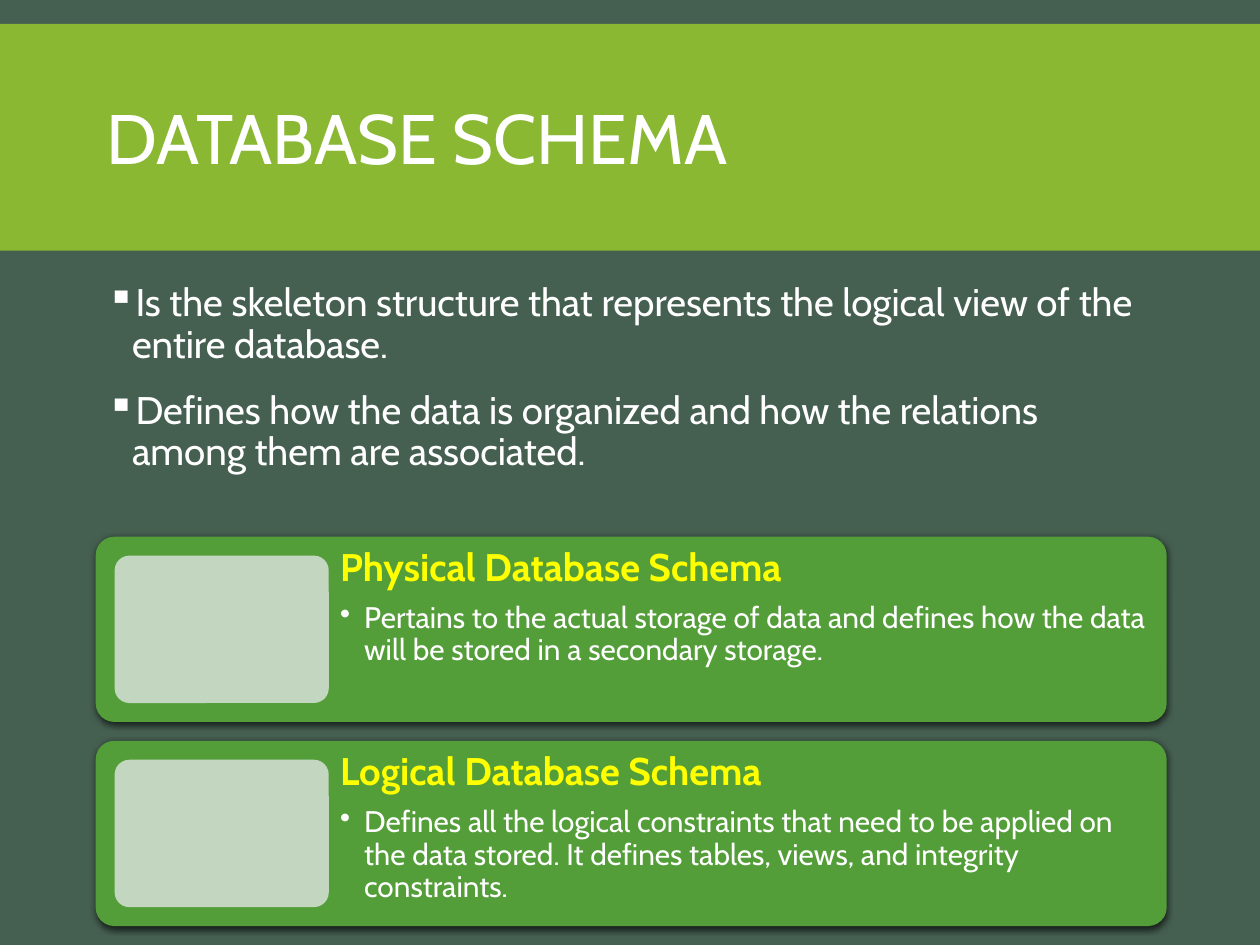
import pptx
import pptx.util
import pptx.dml.color
import pptx.enum.shapes
import pptx.enum.text
import pptx.oxml
import pptx.oxml.ns

Inches = pptx.util.Inches
Pt = pptx.util.Pt
SHAPE = pptx.enum.shapes.MSO_SHAPE
ANCHOR = pptx.enum.text.MSO_ANCHOR
NS = pptx.oxml.ns.nsdecls("a")


def rgb(value):
    return pptx.dml.color.RGBColor.from_string(value)


def add_bullet(p, char, color, indent):
    pPr = p._p.get_or_add_pPr()
    pPr.set("marL", str(Inches(indent)))
    pPr.set("indent", str(-Inches(indent)))
    for xml in (
        f'<a:buClr {NS}><a:srgbClr val="{color}"/></a:buClr>',
        f'<a:buChar {NS} char="{char}"/>',
    ):
        pPr.append(pptx.oxml.parse_xml(xml))


def write(p, text, size, font="Cabin", color="FFFFFF", bold=False,
          line=0.9, before=0, after=0, bullet=None, indent=0.2):
    p.line_spacing = line
    p.space_before = Pt(before)
    p.space_after = Pt(after)
    if bullet:
        add_bullet(p, bullet, color, indent)
    r = p.add_run()
    r.text = text
    r.font.name = font
    r.font.size = Pt(size)
    r.font.bold = bold
    r.font.color.rgb = rgb(color)


class Deck:
    background = "455F51"
    band = "8AB833"
    card_fill = "549E39"
    panel_fill = "C3D6BF"
    heading = "FFFF00"

    def __init__(self):
        self.prs = pptx.Presentation()
        self.prs.slide_width = Inches(10)
        self.prs.slide_height = Inches(7.5)
        self.s = self.prs.slides.add_slide(self.prs.slide_layouts[6])
        fill = self.s.background.fill
        fill.solid()
        fill.fore_color.rgb = rgb(self.background)

    def box(self, left, top, width, height, color, kind=SHAPE.RECTANGLE):
        sp = self.s.shapes.add_shape(
            kind, Inches(left), Inches(top), Inches(width), Inches(height))
        sp.shadow.inherit = False
        sp.fill.solid()
        sp.fill.fore_color.rgb = rgb(color)
        sp.line.fill.background()
        if kind == SHAPE.ROUNDED_RECTANGLE:
            sp.adjustments[0] = 0.1
        return sp

    def add_shadow(self, sp):
        effects = sp._element.spPr.find(pptx.oxml.ns.qn("a:effectLst"))
        effects.append(pptx.oxml.parse_xml(
            f'<a:outerShdw {NS} blurRad="{Pt(4)}" dist="{Pt(1.2)}" '
            'dir="5400000" algn="ctr" rotWithShape="0">'
            '<a:srgbClr val="000000"><a:alpha val="68000"/></a:srgbClr>'
            '</a:outerShdw>'))

    def text(self, left, top, width, height, items, anchor=ANCHOR.TOP, inset=None):
        tf = self.s.shapes.add_textbox(
            Inches(left), Inches(top), Inches(width), Inches(height)).text_frame
        tf.word_wrap = True
        tf.vertical_anchor = anchor
        if inset is not None:
            tf.margin_left = tf.margin_right = Inches(inset)
            tf.margin_top = tf.margin_bottom = Inches(inset)
        for i, (text, style) in enumerate(items):
            p = tf.add_paragraph() if i else tf.paragraphs[0]
            write(p, text, **style)

    def card(self, top, title, detail):
        left, width, height, gap, panel_width = 0.76, 8.5, 1.47, 0.15, 1.7
        rounded = SHAPE.ROUNDED_RECTANGLE
        self.add_shadow(self.box(left, top, width, height, self.card_fill, rounded))
        self.box(left + gap, top + gap, panel_width, height - 2 * gap,
                 self.panel_fill, rounded)
        text_left = left + gap + panel_width
        self.text(text_left, top, left + width - text_left, height, [
            (title, dict(size=22, color=self.heading, bold=True, after=7.7)),
            (detail, dict(size=17, after=2.55, bullet="•", indent=0.19)),
        ], inset=0.09)


def main():
    deck = Deck()
    deck.box(0, 0.19, 10, 1.8, deck.band)
    deck.text(0.75, 0.31, 8.5, 1.65,
              [("DATABASE SCHEMA", dict(size=40, line=0.85))], anchor=ANCHOR.MIDDLE)

    point = dict(size=22, before=12, after=2, bullet="▪")
    deck.text(0.75, 2.2, 8.5, 1.9, [
        ("Is the skeleton structure that represents the logical view of the "
         "entire database.", point),
        ("Defines how the data is organized and how the relations among them "
         "are associated.", point),
    ])

    cards = [
        ("Physical Database Schema",
         "Pertains to the actual storage of data and defines how the data will "
         "be stored in a secondary storage."),
        ("Logical Database Schema",
         "Defines all the logical constraints that need to be applied on the "
         "data stored. It defines tables, views, and integrity constraints."),
    ]
    for i, (title, detail) in enumerate(cards):
        deck.card(4.26 + i * 1.62, title, detail)
    deck.prs.save("out.pptx")


if __name__ == "__main__":
    main()
